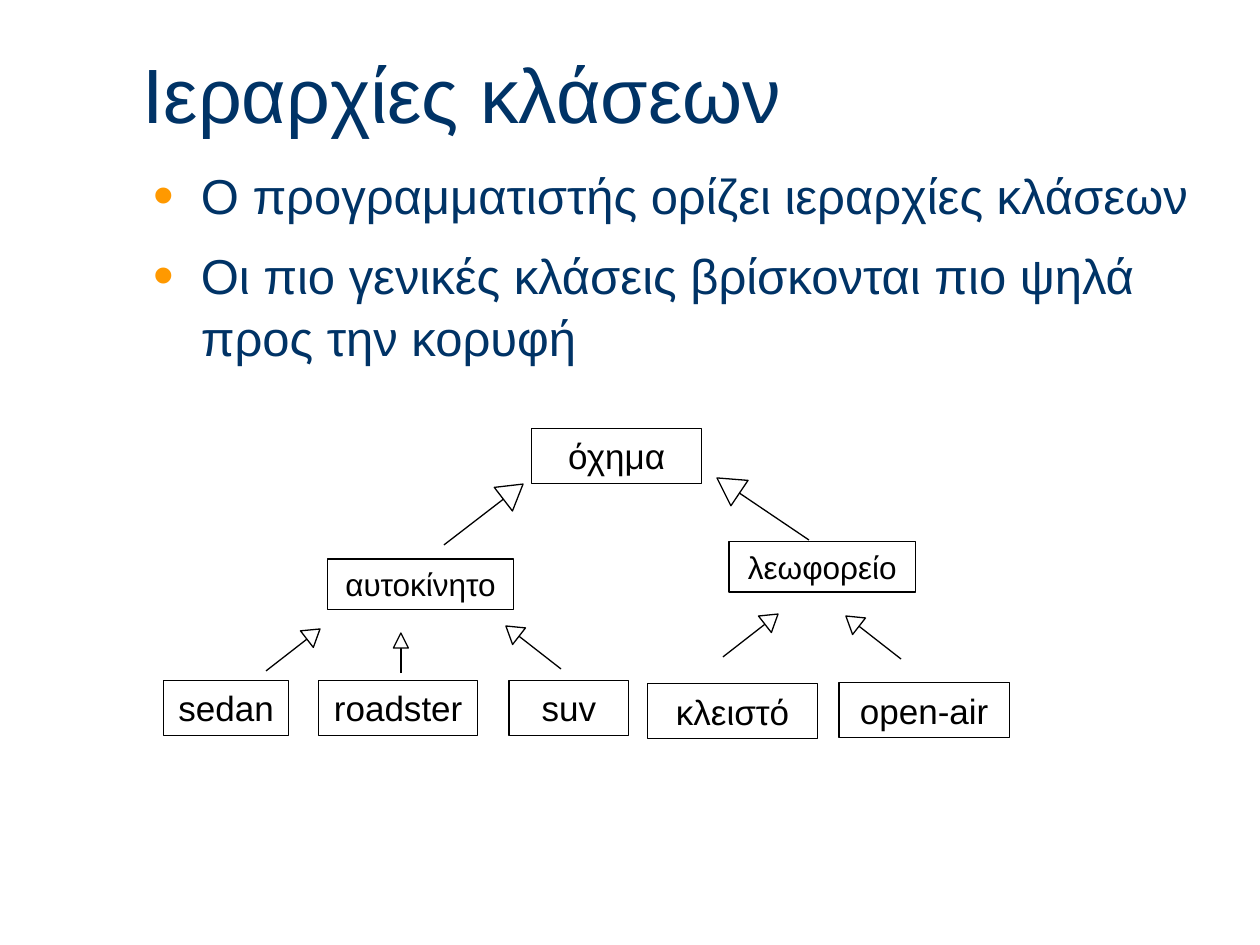
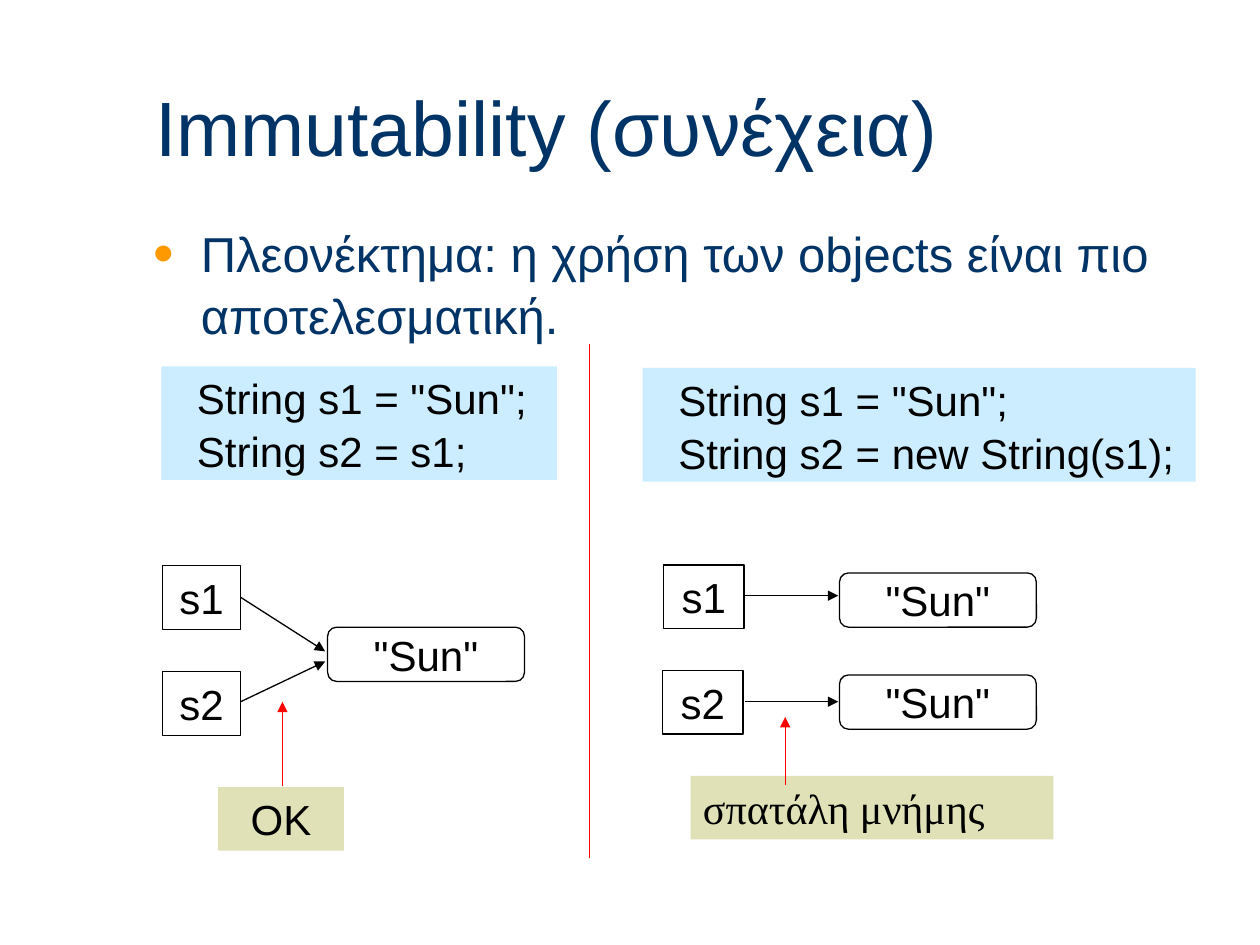
import math
from dataclasses import dataclass

from lxml import etree
from pptx import Presentation
from pptx import util as u
from pptx.dml import color
from pptx.enum import shapes, text
from pptx.oxml import ns

LEFT, CENTER = text.PP_ALIGN.LEFT, text.PP_ALIGN.CENTER


@dataclass(frozen=True)
class Theme:
    heading: str = "003366"
    bullet: str = "FF9900"
    ink: str = "000000"
    paper: str = "FFFFFF"
    code_fill: str = "CCECFF"
    note_fill: str = "E1E1B7"
    accent: str = "FF0000"
    font: str = "Arial"
    serif: str = "Times New Roman"
    title_size: float = 44
    body_size: float = 28
    code_size: float = 24
    class_size: float = 20
    subclass_size: float = 18
    line_width: float = 0.75


def rgb(value):
    return color.RGBColor.from_string(value)


def add_xml(parent, tag, **attributes):
    return etree.SubElement(parent, ns.qn(tag), attributes)


def add_bullet(paragraph, bullet_color, indent=27):
    properties = paragraph._p.get_or_add_pPr()
    properties.set("marL", str(u.Pt(indent)))
    properties.set("indent", str(-u.Pt(indent)))
    add_xml(add_xml(properties, "a:buClr"), "a:srgbClr", val=bullet_color)
    add_xml(properties, "a:buSzPct", val="120000")
    add_xml(properties, "a:buFont", typeface="Arial")
    add_xml(properties, "a:buChar", char="•")


def write_text(frame, lines, *, size, ink, font, align=LEFT, gap=0, spacing=1.0,
               anchor=text.MSO_ANCHOR.TOP, wrap=True, bullet=None):
    """Fill a text frame with one paragraph per line."""
    frame.auto_size = text.MSO_AUTO_SIZE.NONE
    frame.word_wrap = wrap
    frame.vertical_anchor = anchor
    for number, line in enumerate(lines):
        paragraph = frame.add_paragraph() if number else frame.paragraphs[0]
        if bullet:
            add_bullet(paragraph, bullet)
        paragraph.alignment = align
        paragraph.space_before = u.Pt(gap if number else 0)
        paragraph.line_spacing = spacing
        run = paragraph.add_run()
        run.text = line
        run.font.size = u.Pt(size)
        run.font.name = font
        run.font.color.rgb = rgb(ink)


class Deck:
    """Holds the theme and the current slide."""

    def __init__(self, presentation, theme):
        self.presentation = presentation
        self.theme = theme
        self.slide = None

    def new_slide(self, title, title_box, bullets, body_box):
        theme = self.theme
        self.slide = self.presentation.slides.add_slide(self.presentation.slide_layouts[1])
        heading, body = self.slide.placeholders
        for shape, box in ((heading, title_box), (body, body_box)):
            shape.left, shape.top, shape.width, shape.height = map(u.Pt, box)
        write_text(heading.text_frame, [title], size=theme.title_size, ink=theme.heading,
                   font=theme.font, anchor=text.MSO_ANCHOR.MIDDLE)
        write_text(body.text_frame, bullets, size=theme.body_size, ink=theme.heading,
                   font=theme.font, gap=10.5, spacing=1.05, bullet=theme.bullet)

    def shape(self, kind, box, fill=None, outlined=True):
        shape = self.slide.shapes.add_shape(kind, *map(u.Pt, box))
        shape.shadow.inherit = False
        if fill:
            shape.fill.solid()
            shape.fill.fore_color.rgb = rgb(fill)
        else:
            shape.fill.background()
        if outlined:
            shape.line.color.rgb = rgb(self.theme.ink)
            shape.line.width = u.Pt(self.theme.line_width)
        else:
            shape.line.fill.background()
        return shape

    def box(self, lines, box, size, *, kind=shapes.MSO_SHAPE.RECTANGLE, fill=None,
            align=CENTER, font=None, spacing=1.0):
        shape = self.shape(kind, box, fill, outlined=fill is None)
        write_text(shape.text_frame, lines, size=size, ink=self.theme.ink,
                   font=font or self.theme.font, align=align, spacing=spacing,
                   anchor=text.MSO_ANCHOR.MIDDLE, wrap=align == LEFT)

    def line(self, start, end, ink=None, arrow=False):
        connector = self.slide.shapes.add_connector(
            shapes.MSO_CONNECTOR.STRAIGHT, *map(u.Pt, (*start, *end)))
        connector.line.color.rgb = rgb(ink or self.theme.ink)
        connector.line.width = u.Pt(self.theme.line_width)
        if arrow:
            add_xml(connector.line._get_or_add_ln(), "a:tailEnd", type="triangle")
        add_xml(connector._element.spPr, "a:effectLst")

    def inheritance_arrow(self, start, tip, width, height):
        """Line with a hollow triangular head whose apex is at tip."""
        across, down = tip[0] - start[0], tip[1] - start[1]
        length = math.hypot(across, down)
        unit = across / length, down / length
        base = [point - height * step for point, step in zip(tip, unit)]
        middle = [point - height / 2 * step for point, step in zip(tip, unit)]
        self.line(start, base)
        head = self.shape(shapes.MSO_SHAPE.ISOSCELES_TRIANGLE,
                          (middle[0] - width / 2, middle[1] - height / 2, width, height),
                          self.theme.paper)
        head.rotation = math.degrees(math.atan2(across, -down))


def build_hierarchy(deck):
    theme = deck.theme
    deck.new_slide("Ιεραρχίες κλάσεων", (74.2, 19.4, 612, 67.7),
                   ["Ο προγραμματιστής ορίζει ιεραρχίες κλάσεων",
                    "Οι πιο γενικές κλάσεις βρίσκονται πιο ψηλά προς την κορυφή"],
                   (80.6, 89.3, 625.7, 134.6))

    # Class boxes: name, left, top, width
    for name, left, top, width in (
            ("όχημα", 303.8, 244.8, 97.2),
            ("sedan", 93.6, 388.8, 71.3),
            ("roadster", 182.2, 388.8, 90.7),
            ("suv", 290.9, 388.8, 68.4),
            ("κλειστό", 370, 390.6, 97.2),
            ("open-air", 479.5, 390, 97.2)):
        deck.box([name], (left, top, width, 31.5), theme.class_size)
    for name, left, top in (("αυτοκίνητο", 187, 319.5), ("λεωφορείο", 416.6, 309.6)):
        deck.box([name], (left, top, 106.6, 28.8), theme.subclass_size)

    # Arrows up to the root
    deck.inheritance_arrow((253.7, 311.4), (298.9, 276.6), 17, 14.2)
    deck.inheritance_arrow((462.3, 308.6), (409.7, 273.1), 17.5, 15.5)

    # Arrows up to the middle level
    for start, tip in (((152, 383.4), (182.9, 359.4)),
                       ((320.6, 382.3), (289.1, 357.7)),
                       ((413.1, 375.4), (444.6, 350.9)),
                       ((514.9, 376.6), (483.4, 352))):
        deck.inheritance_arrow(start, tip, 12, 9.5)
    deck.inheritance_arrow((229.1, 384.6), (229.1, 361.7), 8.6, 8.6)


def build_immutability(deck):
    theme = deck.theme
    deck.new_slide("Immutability (συνέχεια)", (81.4, 38.2, 612, 67.7),
                   ["Πλεονέκτημα: η χρήση των objects είναι πιο αποτελεσματική."],
                   (80.6, 122.4, 612, 378))

    # Code samples
    for second_line, box in (("  String s2 = s1;", (92.2, 209.3, 226.1, 65)),
                             ("  String s2 = new String(s1);", (367.2, 210.2, 316.1, 65))):
        deck.box(['  String s1 = "Sun";', second_line], box, theme.code_size,
                 fill=theme.code_fill, align=LEFT, spacing=1.05)

    # Variables
    for name, left, top, width in (("s1", 92.9, 323.3, 44.6), ("s2", 92.9, 383.8, 44.6),
                                   ("s1", 379.2, 322.8, 46.1), ("s2", 378.6, 383.2, 46.1)):
        deck.box([name], (left, top, width, 36.3), theme.code_size)

    # String objects
    for left, top in ((187.2, 358.4), (479.7, 327.4), (479.7, 385.7)):
        deck.box(['"Sun"'], (left, top, 112.5, 31), theme.code_size,
                 kind=shapes.MSO_SHAPE.ROUNDED_RECTANGLE)

    # References from variables to objects
    for start, end in (((137.5, 341.3), (185.8, 372.2)), ((137.5, 401), (185.8, 378)),
                       ((426, 340.4), (479, 340.4)), ((426, 401), (479, 401))):
        deck.line(start, end, arrow=True)

    # Divider, notes and their pointers
    deck.line((336.8, 196.6), (336.8, 490.3), theme.accent)
    deck.box(["OK"], (124.6, 449.8, 72, 36.3), theme.code_size, fill=theme.note_fill)
    deck.box(["σπατάλη μνήμης"], (394.6, 443.3, 207.4, 36.3), theme.code_size,
             fill=theme.note_fill, align=LEFT, font=theme.serif)
    deck.line((161.4, 449.3), (161.4, 401), theme.accent, arrow=True)
    deck.line((448.7, 448.6), (448.7, 409.7), theme.accent, arrow=True)


def main():
    presentation = Presentation()
    presentation.slide_width, presentation.slide_height = u.Pt(720), u.Pt(540)
    deck = Deck(presentation, Theme())
    build_hierarchy(deck)
    build_immutability(deck)
    presentation.save("out.pptx")


if __name__ == "__main__":
    main()
